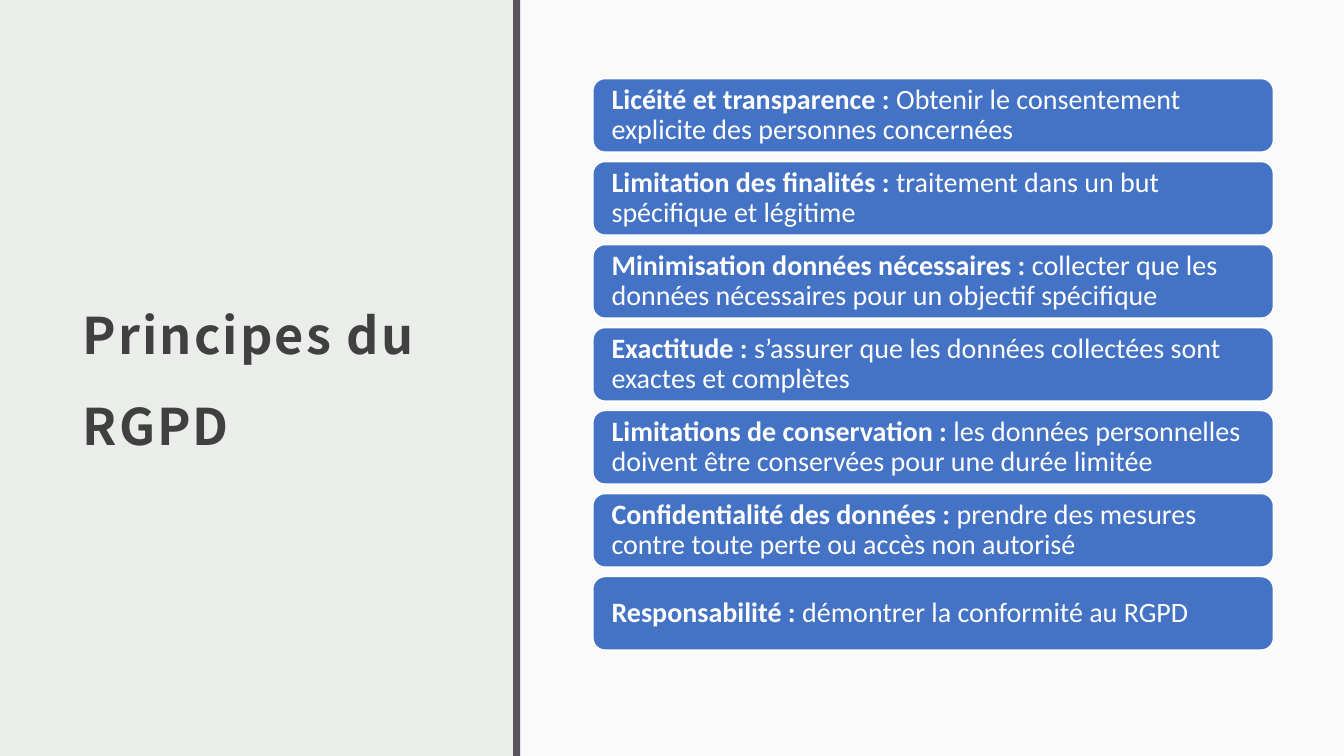
"""Build the slide listing the principles of the RGPD."""
from lxml.etree import SubElement
from pptx import Presentation
from pptx.dml.color import RGBColor
from pptx.enum.shapes import MSO_SHAPE
from pptx.enum.text import MSO_ANCHOR, MSO_AUTO_SIZE, PP_ALIGN
from pptx.oxml.ns import qn
from pptx.util import Inches, Pt

COLORS = {
    "background": "EBEDEB",
    "white": "FFFFFF",
    "divider": "595460",
    "heading": "404040",
    "card": "4472C4",
}
PRINCIPLES = [
    ("Licéité et transparence : ", "Obtenir le consentement explicite des personnes concernées"),
    ("Limitation des finalités : ", "traitement dans un but spécifique et légitime"),
    ("Minimisation données nécessaires : ",
     "collecter que les données nécessaires pour un objectif spécifique"),
    ("Exactitude : ", "s’assurer que les données collectées sont exactes et complètes"),
    ("Limitations de conservation : ",
     "les données personnelles doivent être conservées pour une durée limitée"),
    ("Confidentialité des données : ",
     "prendre des mesures contre toute perte ou accès non autorisé"),
    ("Responsabilité : ", "démontrer la conformité au RGPD"),
]
HEADING_BOX = {
    "left": Inches(0.7), "top": Inches(0.77),
    "width": Inches(3.73), "height": Inches(5.68),
}
HEADING_FRAME = {
    "margin_left": Inches(0.12), "margin_top": Inches(0.12),
    "margin_right": Inches(0.12), "margin_bottom": Inches(0.1),
    "vertical_anchor": MSO_ANCHOR.MIDDLE, "word_wrap": True,
    "auto_size": MSO_AUTO_SIZE.NONE,
}
CARD_FRAME = {
    "margin_left": Inches(0.15), "margin_top": Inches(0.15),
    "margin_right": Inches(0.15), "margin_bottom": Inches(0.15),
    "vertical_anchor": MSO_ANCHOR.MIDDLE, "word_wrap": True,
}
HEADING_PARAGRAPH = {"alignment": PP_ALIGN.LEFT, "line_spacing": 1.5}
CARD_PARAGRAPH = {"alignment": PP_ALIGN.LEFT, "line_spacing": 0.9, "space_after": Pt(12)}
HEADING_FONT = {"name": "Noto Sans CJK JP", "size": Pt(36), "bold": True}
CARD_FONT = {"name": "Calibri", "size": Pt(20)}
CARD_TOP, CARD_HEIGHT, LIST_BOTTOM = 0.78, 0.73, 6.45
CARD_PITCH = (LIST_BOTTOM - CARD_TOP - CARD_HEIGHT) / (len(PRINCIPLES) - 1)


def apply(target, values):
    for attribute, value in values.items():
        setattr(target, attribute, value)


def add_block(preset, left, top, width, height, color):
    block = slide.shapes.add_shape(
        preset, Inches(left), Inches(top), Inches(width), Inches(height))
    block.shadow.inherit = False
    block.fill.solid()
    block.fill.fore_color.rgb = RGBColor.from_string(COLORS[color])
    block.line.fill.background()
    return block


deck = Presentation()
deck.slide_width, deck.slide_height = Inches(13.33), Inches(7.5)
slide = deck.slides.add_slide(deck.slide_layouts[5])
slide.background.fill.solid()
slide.background.fill.fore_color.rgb = RGBColor.from_string(COLORS["background"])

panel = add_block(MSO_SHAPE.RECTANGLE, 5.16, 0, 8.17, 7.5, "white")
panel_color = panel.fill._xPr.find(qn("a:solidFill"))[0]
SubElement(panel_color, qn("a:alpha"), val="75000")
add_block(MSO_SHAPE.RECTANGLE, 5.09, 0, 0.07, 7.5, "divider")

heading = slide.shapes.title
apply(heading, HEADING_BOX)
apply(heading.text_frame, HEADING_FRAME)
heading_line = heading.text_frame.paragraphs[0]
apply(heading_line, HEADING_PARAGRAPH)
heading_words = heading_line.add_run()
heading_words.text = "Principes du RGPD"
apply(heading_words.font, HEADING_FONT)
heading_words.font.color.rgb = RGBColor.from_string(COLORS["heading"])
heading_words._r.get_or_add_rPr().set("spc", "150")

for position, principle in enumerate(PRINCIPLES):
    card = add_block(MSO_SHAPE.ROUNDED_RECTANGLE, 5.88,
                     CARD_TOP + position * CARD_PITCH, 6.75, CARD_HEIGHT, "card")
    card.line.color.rgb = RGBColor.from_string(COLORS["white"])
    card.line.width = Pt(1)
    apply(card.text_frame, CARD_FRAME)
    statement = card.text_frame.paragraphs[0]
    apply(statement, CARD_PARAGRAPH)
    for wording, is_name in zip(principle, (True, False)):
        phrase = statement.add_run()
        phrase.text = wording
        apply(phrase.font, CARD_FONT)
        phrase.font.bold = is_name
        phrase.font.color.rgb = RGBColor.from_string(COLORS["white"])

deck.save("out.pptx")
